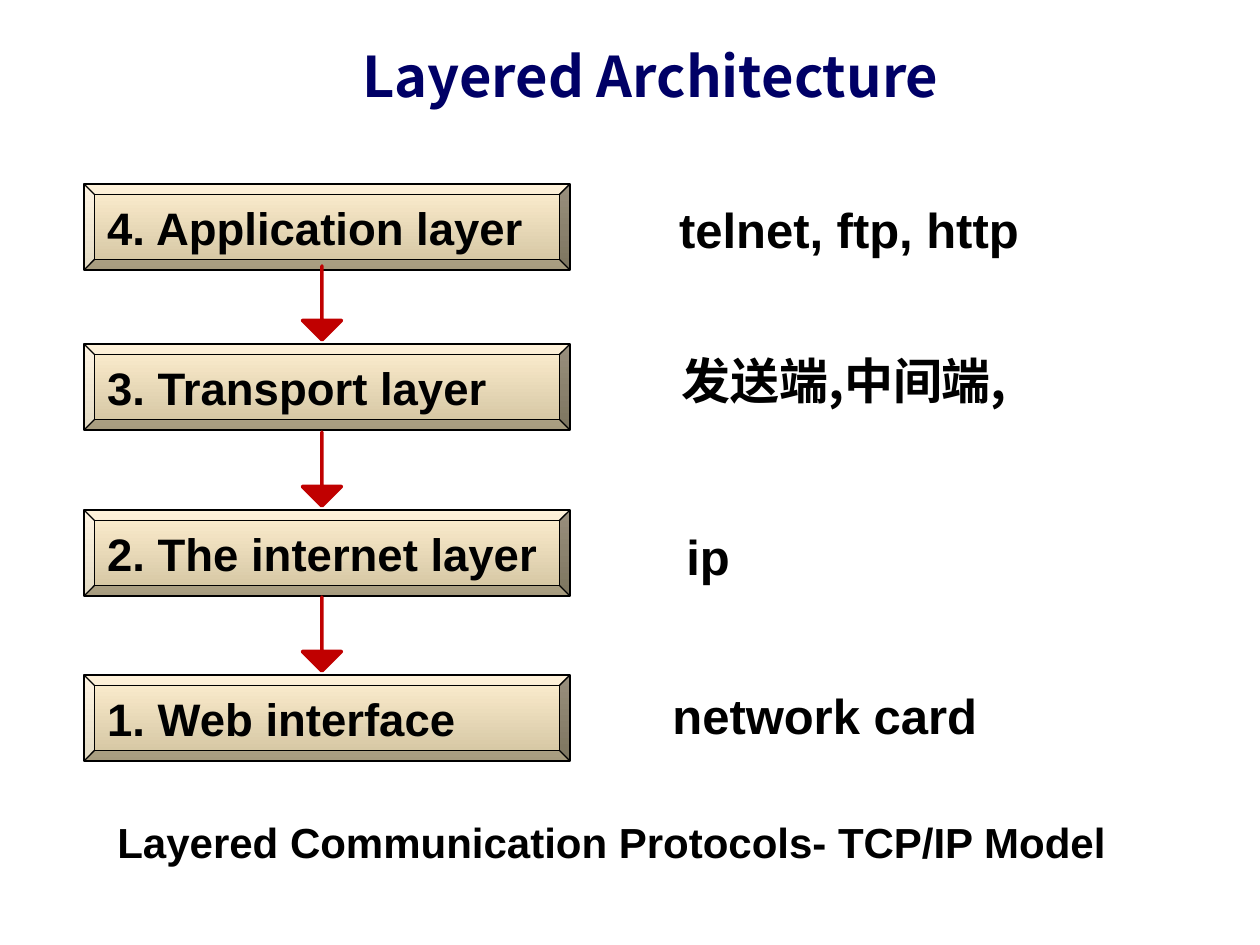
import dataclasses

import pptx
import pptx.dml.color
import pptx.enum.shapes
import pptx.enum.text
import pptx.oxml
import pptx.oxml.ns
import pptx.util

ALIGN = pptx.enum.text.PP_ALIGN
ANCHOR = pptx.enum.text.MSO_ANCHOR
SHAPE = pptx.enum.shapes.MSO_SHAPE


@dataclasses.dataclass(frozen=True)
class Theme:
    ink: str = "000000"
    title: str = "000066"
    arrow: str = "C00000"
    bevel_top: str = "FFEFD1"
    bevel_bottom: str = "D1C39F"
    latin: str = "Arial"
    cjk: str = "Noto Sans CJK SC"
    title_size: int = 32
    example_size: int = 28
    layer_size: int = 26
    caption_size: int = 24


THEME = Theme()

# Text, then left, top, width, height in px
TITLE = ("Layered Architecture", (233, 35, 835, 97))
CAPTION = ("Layered Communication Protocols- TCP/IP Model", (105, 810, 1032, 63))
# Layer name and top of its box
LAYERS = [
    ("4. Application layer", 184),
    ("3. Transport layer", 344),
    ("2. The internet layer", 510),
    ("1. Web interface", 675),
]
EXAMPLES = [
    ("telnet, ftp, http", (640, 193, 418, 72), THEME.latin, ALIGN.CENTER),
    ("发送端,中间端,", (669, 344, 394, 131), THEME.cjk, ALIGN.LEFT),
    ("ip", (674, 520, 115, 72), THEME.latin, ALIGN.LEFT),
    ("network card", (660, 679, 345, 72), THEME.latin, ALIGN.LEFT),
]

PX_PER_INCH = 126
LAYER_LEFT, LAYER_WIDTH, LAYER_HEIGHT = 84, 486, 86
ARROW_CENTER, ARROW_WIDTH, ARROW_HEIGHT, ARROW_RISE = 322, 39, 74, 78


def px(*lengths):
    return [round(length * 914400 / PX_PER_INCH) for length in lengths]


def rgb(value):
    return pptx.dml.color.RGBColor.from_string(value)


def write(frame, text, size, font, color=THEME.ink, align=ALIGN.LEFT):
    para = frame.paragraphs[0]
    para.alignment = align
    span = para.add_run()
    span.text = text
    span.font.size = pptx.util.Pt(size)
    span.font.bold = True
    span.font.name = font
    span.font.color.rgb = rgb(color)
    east_asian = pptx.oxml.parse_xml(
        f'<a:ea {pptx.oxml.ns.nsdecls("a")} typeface="{THEME.cjk}"/>')
    span.font._element.append(east_asian)


def add_text(page, text, place, *style):
    box = page.shapes.add_textbox(*px(*place))
    box.text_frame.word_wrap = True
    write(box.text_frame, text, *style)


def add_layer(page, name, top):
    box = page.shapes.add_shape(
        SHAPE.BEVEL, *px(LAYER_LEFT, top, LAYER_WIDTH, LAYER_HEIGHT))
    box.shadow.inherit = False
    box.adjustments[0] = 0.125
    box.fill.gradient()
    box.fill.gradient_angle = 270
    for stop, color in zip(box.fill.gradient_stops,
                           (THEME.bevel_top, THEME.bevel_bottom)):
        stop.color.rgb = rgb(color)
    box.line.color.rgb = rgb(THEME.ink)
    box.line.width = pptx.util.Pt(0.75)
    box.text_frame.word_wrap = False
    box.text_frame.vertical_anchor = ANCHOR.MIDDLE
    write(box.text_frame, name, THEME.layer_size, THEME.latin)


def add_arrow_above(page, layer_top):
    arrow = page.shapes.add_shape(SHAPE.DOWN_ARROW, *px(
        ARROW_CENTER - ARROW_WIDTH / 2, layer_top - ARROW_RISE,
        ARROW_WIDTH, ARROW_HEIGHT))
    arrow.shadow.inherit = False
    arrow.adjustments[0] = 0
    arrow.adjustments[1] = 0.5
    arrow.fill.solid()
    arrow.fill.fore_color.rgb = rgb(THEME.arrow)
    arrow.line.color.rgb = rgb(THEME.arrow)
    arrow.line.width = pptx.util.Pt(2)


def main():
    deck = pptx.Presentation()
    deck.slide_width, deck.slide_height = px(1260, 945)
    page = deck.slides.add_slide(deck.slide_layouts[6])

    add_text(page, *CAPTION, THEME.caption_size, THEME.latin)
    for text, place, font, align in EXAMPLES:
        add_text(page, text, place, THEME.example_size, font, THEME.ink, align)
    for name, top in LAYERS:
        add_layer(page, name, top)
    for name, top in LAYERS[1:]:
        add_arrow_above(page, top)
    add_text(page, *TITLE, THEME.title_size, THEME.cjk, THEME.title, ALIGN.CENTER)

    deck.save("out.pptx")


if __name__ == "__main__":
    main()
